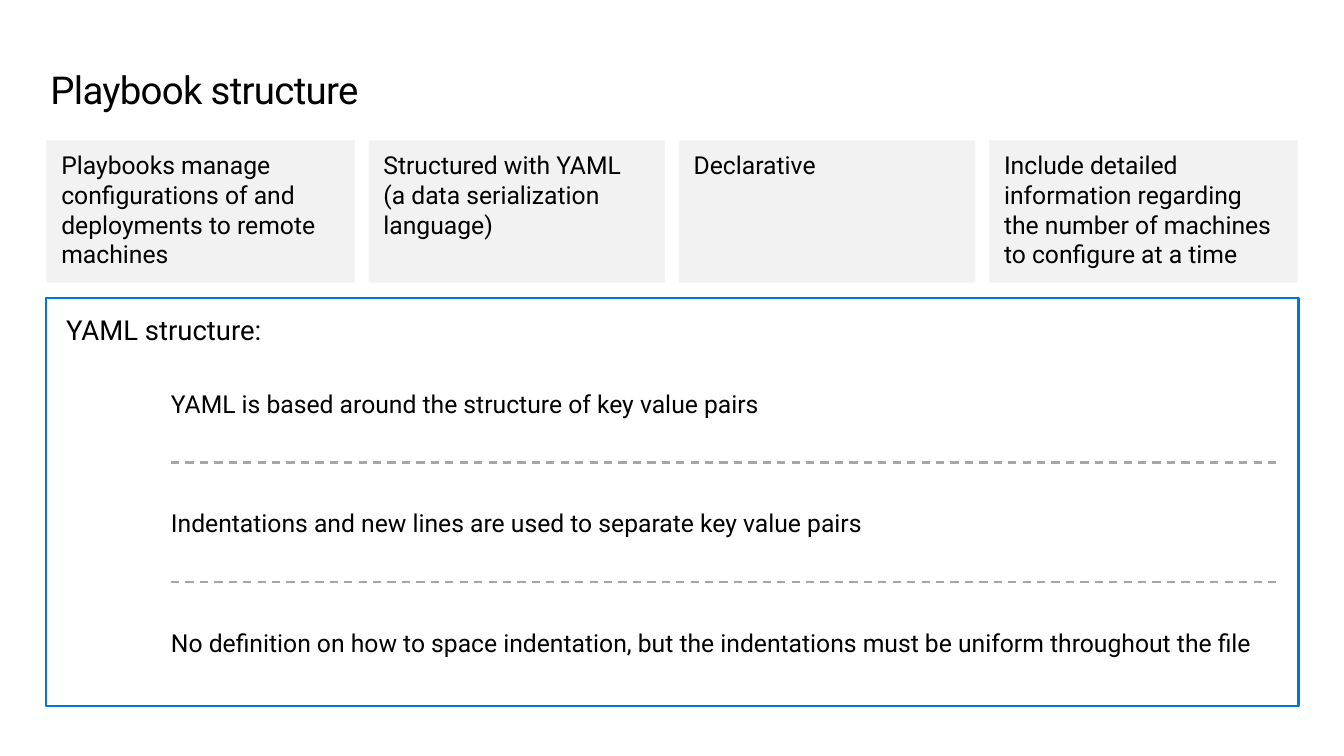
"""Build the playbook structure slide."""
from dataclasses import dataclass
from lxml.etree import SubElement
from pptx import Presentation
from pptx.dml.color import RGBColor
from pptx.enum.dml import MSO_LINE
from pptx.enum.shapes import MSO_CONNECTOR, MSO_SHAPE
from pptx.enum.text import MSO_ANCHOR, PP_ALIGN
from pptx.oxml.ns import qn
from pptx.shapes.autoshape import Shape
from pptx.slide import Slide
from pptx.text.text import _Run
from pptx.util import Pt

FONT = "Roboto"
COLORS = {"text": "000000", "card": "F2F2F2", "frame": "0078D3", "rule": "A6A6A6"}
LEFT, GAP = 33.84, 10.08
ROW_LEFT, ROW_WIDTH, ROW_TOP, PITCH = 124.56, 807.12, 282.96, 87.12


@dataclass
class Box:
    left: float
    top: float
    width: float
    height: float


@dataclass
class Card:
    lines: list[str]
    width: float


CARDS = [
    Card(["Playbooks manage configurations of and ", "deployments to remote machines"], 224.64),
    Card(["Structured with YAML", "(a data serialization language)"], 216),
    Card(["Declarative"], 216),
    Card(["Include detailed information regarding the number of machines "
          "to configure at a time"], 224.64),
]
ROWS = [
    "YAML is based around the structure of key value pairs",
    "Indentations and new lines are used to separate key value pairs",
    "No definition on how to space indentation, but the indentations "
    "must be uniform throughout the file",
]


def color(name: str) -> RGBColor:
    return RGBColor.from_string(COLORS[name])


def write(shape: Shape, lines: list[str], size: float, pad: tuple[float, float] = (0, 0),
          anchor: MSO_ANCHOR = MSO_ANCHOR.TOP) -> list[_Run]:
    frame = shape.text_frame
    frame.word_wrap = True
    frame.vertical_anchor = anchor
    frame.margin_left = frame.margin_right = Pt(pad[0])
    frame.margin_top = frame.margin_bottom = Pt(pad[1])
    para = frame.paragraphs[0]
    para.alignment = PP_ALIGN.LEFT
    runs = []
    for index, line in enumerate(lines):
        if index:
            para.add_line_break()
        run = para.add_run()
        run.text = line
        run.font.name = FONT
        run.font.size = Pt(size)
        run.font.color.rgb = color("text")
        runs.append(run)
    return runs


def add_text(slide: Slide, box: Box) -> Shape:
    return slide.shapes.add_textbox(Pt(box.left), Pt(box.top), Pt(box.width), Pt(box.height))


def add_rect(slide: Slide, box: Box) -> Shape:
    shape = slide.shapes.add_shape(
        MSO_SHAPE.RECTANGLE, Pt(box.left), Pt(box.top), Pt(box.width), Pt(box.height))
    shape.shadow.inherit = False
    return shape


def add_title(slide: Slide) -> None:
    shape = add_text(slide, Box(36.72, 49.68, 907.92, 32.4))
    run = write(shape, ["Playbook structure"], 28)[0]
    run._r.get_or_add_rPr().set("spc", "-50")
    shape.text_frame.paragraphs[0].line_spacing = Pt(32)


def add_card(slide: Slide, card: Card, left: float) -> None:
    shape = add_rect(slide, Box(left, 102.24, card.width, 103.68))
    shape.fill.solid()
    shape.fill.fore_color.rgb = color("card")
    shape.line.fill.background()
    write(shape, card.lines, 18, (10.8, 7.2))


def add_panel(slide: Slide) -> None:
    shape = add_rect(slide, Box(LEFT, 217.44, 912.24, 296.64))
    shape.fill.background()
    shape.line.color.rgb = color("frame")
    shape.line.width = Pt(1.5)
    write(shape, ["YAML structure:"], 20, (14.4, 10.8))


def add_rule(slide: Slide, top: float) -> None:
    rule = slide.shapes.add_connector(
        MSO_CONNECTOR.STRAIGHT, Pt(ROW_LEFT), Pt(top), Pt(ROW_LEFT + ROW_WIDTH), Pt(top))
    rule.line.color.rgb = color("rule")
    rule.line.width = Pt(1.5)
    rule.line.dash_style = MSO_LINE.DASH
    SubElement(rule._element.spPr, qn("a:effectLst"))


def main() -> None:
    deck = Presentation()
    deck.slide_width, deck.slide_height = Pt(979.2), Pt(550.8)
    slide = deck.slides.add_slide(deck.slide_layouts[6])
    add_title(slide)
    left = LEFT
    for card in CARDS:
        add_card(slide, card, left)
        left += card.width + GAP
    add_panel(slide)
    for index, row in enumerate(ROWS):
        top = ROW_TOP + index * PITCH
        if index:
            add_rule(slide, top - 33.12)
        shape = add_text(slide, Box(ROW_LEFT, top, ROW_WIDTH, 21.6))
        write(shape, [row], 18, anchor=MSO_ANCHOR.MIDDLE)
    deck.save("out.pptx")


if __name__ == "__main__":
    main()
